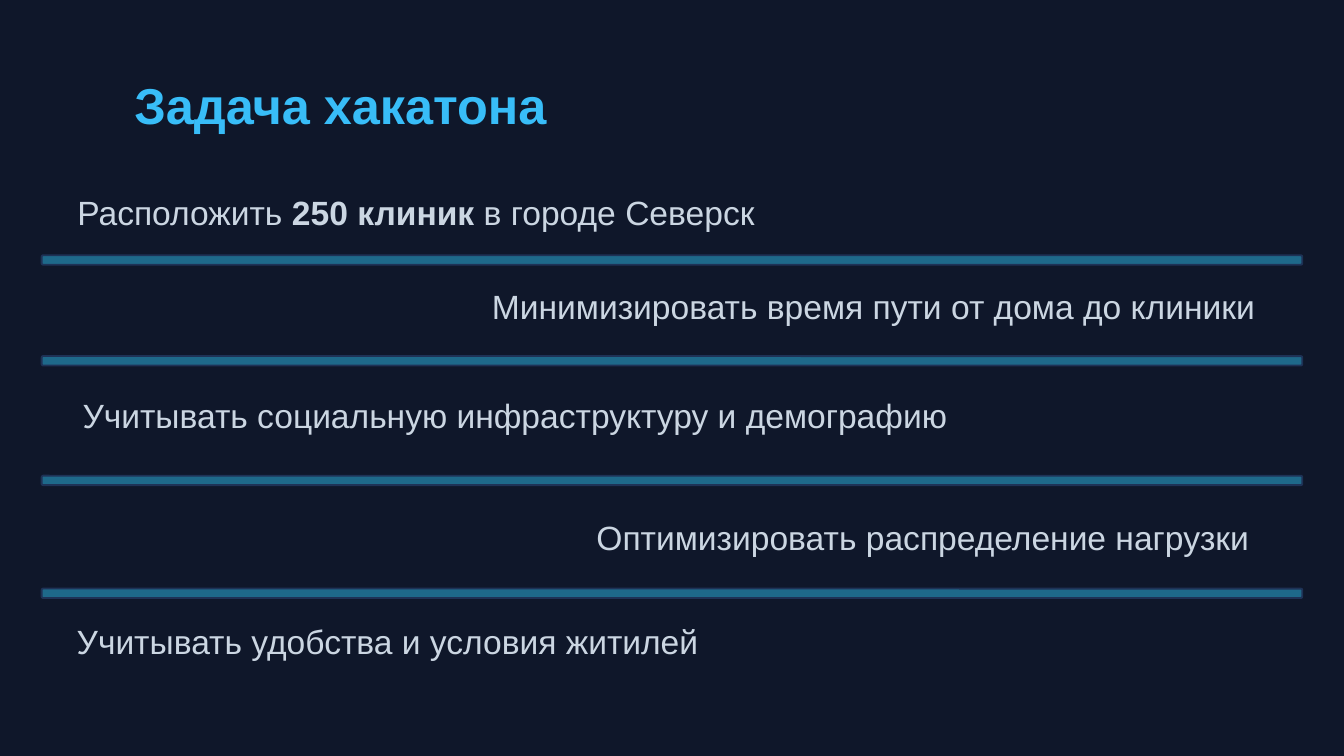
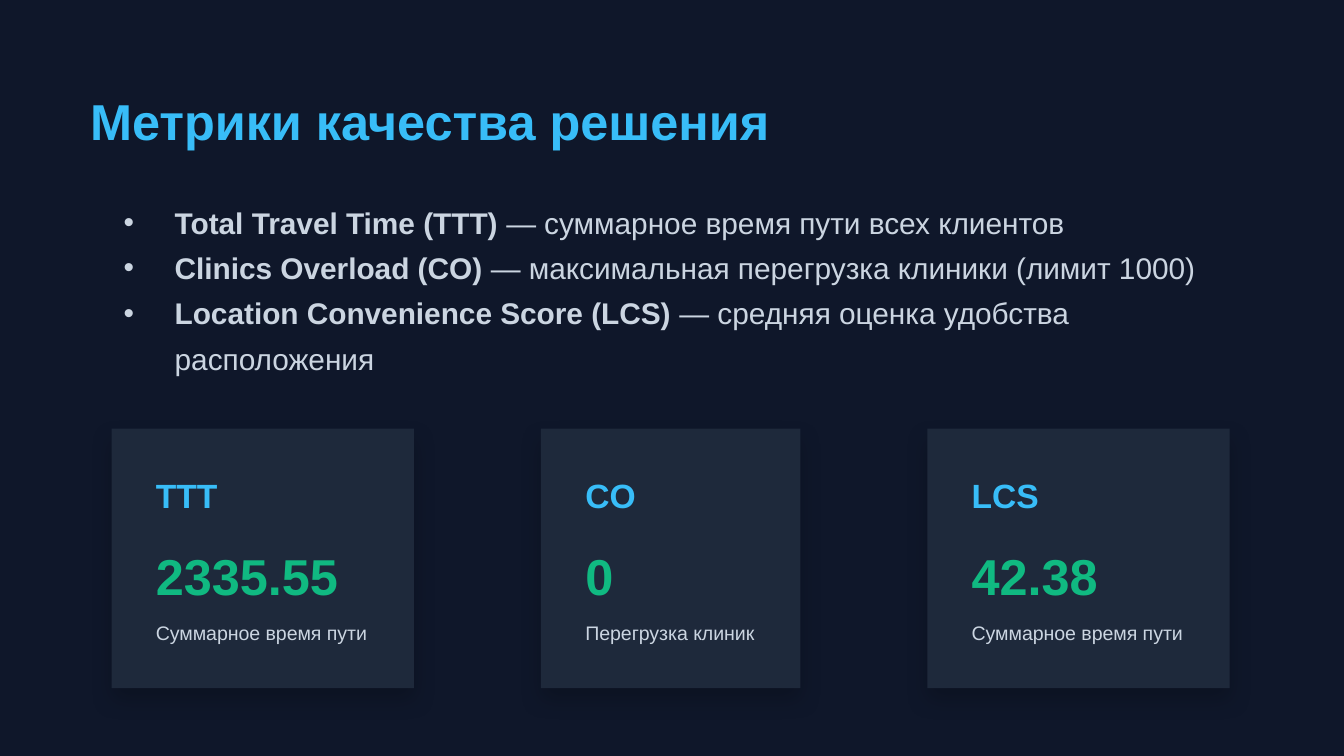
"""Builds two slides: the hackathon task and the quality metrics of the solution."""
from lxml.etree import SubElement
from pptx import Presentation
from pptx.dml.color import RGBColor
from pptx.enum.shapes import MSO_SHAPE as Shape
from pptx.enum.text import MSO_AUTO_SIZE as AutoSize, PP_ALIGN as Align
from pptx.oxml.ns import qn
from pptx.util import Inches, Pt

NAVY = RGBColor(0x0F, 0x17, 0x2A)
SKY = RGBColor(0x38, 0xBD, 0xF8)
GREEN = RGBColor(0x10, 0xB9, 0x81)
GOAL_TEXT = RGBColor(0xCB, 0xD6, 0xE2)
BODY_TEXT = RGBColor(0xCB, 0xD5, 0xE1)
CARD_FILL = RGBColor(0x1E, 0x29, 0x3B)
BAR_FILL = RGBColor(0x1E, 0x69, 0x8A)
BAR_LINE = RGBColor(0x1E, 0x32, 0x56)
FONT = "Arial"

TASK_TITLE = ("Задача хакатона", 1, 0.55)
GOALS = [
    ([("Минимизировать время пути от дома до клиники", False)], 3.51, 2.08, 5.93, Align.RIGHT),
    ([("Учитывать социальную инфраструктуру и демографию", False)], 0.45, 2.89, 6.7, Align.RIGHT),
    ([("Оптимизировать распределение нагрузки", False)], 4.34, 3.8, 5.1, Align.LEFT),
    ([("Расположить ", False), ("250 клиник ", True), ("в городе Северск", False)],
     0.45, 1.38, 5.29, Align.CENTER),
    ([("Учитывать удобства и условия житилей", False)], 0.45, 4.57, 4.87, Align.CENTER),
]
BAR_TOPS = [1.9, 2.65, 3.54, 4.38]

METRICS_TITLE = ("Метрики качества решения", 0.67, 0.67)
METRICS = [
    ("Total Travel Time (TTT)", " — суммарное время пути всех клиентов"),
    ("Clinics Overload (CO)", " — максимальная перегрузка клиники (лимит 1000)"),
    ("Location Convenience Score (LCS)", " — средняя оценка удобства расположения"),
]
CARDS = [
    (("TTT", "2335.55", "Суммарное время пути"), 2.25),
    (("CO", "0", "Перегрузка клиник"), 1.93),
    (("LCS", "42.38", "Суммарное время пути"), 2.25),
]
CARD_LINES = [
    (3.53, 0.29, 18, 21.6, SKY, True),
    (3.98, 0.52, 27, 37.8, GREEN, True),
    (4.59, 0.2, 10.5, 14.7, BODY_TEXT, False),
]
CARD_LEFT, CARD_RIGHT, CARD_TOP, CARD_HEIGHT = 0.83, 9.15, 3.19, 1.93
CARD_PAD = 0.33


def add_slide(deck, title):
    page = deck.slides.add_slide(deck.slide_layouts[6])
    page.background.fill.solid()
    page.background.fill.fore_color.rgb = NAVY
    text, left, top = title
    frame = add_box(page, left, top, 8.84, 0.45)
    write(frame.paragraphs[0], [(text, True)], 27, SKY, 32.4)
    return page


def add_box(page, left, top, width, height):
    box = page.shapes.add_textbox(Inches(left), Inches(top), Inches(width), Inches(height))
    frame = box.text_frame
    frame.word_wrap = True
    frame.margin_left = frame.margin_top = frame.margin_right = frame.margin_bottom = 0
    return frame


def write(para, spans, size, color, spacing=None):
    if spacing:
        para.line_spacing = Pt(spacing)
    for text, bold in spans:
        span = para.add_run()
        span.text = text
        span.font.name = FONT
        span.font.size = Pt(size)
        span.font.bold = bold
        span.font.color.rgb = color


def add_block(page, kind, left, top, width, height, color):
    block = page.shapes.add_shape(kind, Inches(left), Inches(top), Inches(width), Inches(height))
    block.shadow.inherit = False
    block.fill.solid()
    block.fill.fore_color.rgb = color
    block.line.fill.background()
    return block


def add_shadow(block):
    effects = block._element.spPr.find(qn("a:effectLst"))
    shadow = SubElement(effects, qn("a:outerShdw"), blurRad=str(Pt(12)), dist=str(Pt(6)),
                        dir="5400000", algn="t", rotWithShape="0")
    color = SubElement(shadow, qn("a:srgbClr"), val="000000")
    SubElement(color, qn("a:alpha"), val="20000")


def add_bullet(para):
    props = para._p.get_or_add_pPr()
    props.set("marL", str(Inches(0.38)))
    props.set("indent", str(-Inches(0.38)))
    SubElement(props, qn("a:buFont"), typeface=FONT)
    SubElement(props, qn("a:buChar"), char="•")


def build_task(deck):
    page = add_slide(deck, TASK_TITLE)
    for spans, left, top, width, align in GOALS:
        frame = add_box(page, left, top, width, 0.71)
        frame.margin_left = frame.margin_right = Inches(0.1)
        frame.margin_top = frame.margin_bottom = Inches(0.05)
        frame.word_wrap = False
        frame.auto_size = AutoSize.SHAPE_TO_FIT_TEXT
        frame.paragraphs[0].alignment = align
        write(frame.paragraphs[0], spans, 18, GOAL_TEXT)
    for top in BAR_TOPS:
        bar = add_block(page, Shape.ROUNDED_RECTANGLE, 0.31, top, 9.38, 0.07, BAR_FILL)
        bar.line.color.rgb = BAR_LINE
        bar.line.width = Pt(1)


def build_metrics(deck):
    page = add_slide(deck, METRICS_TITLE)
    frame = add_box(page, 0.92, 1.45, 8.33, 1.28)
    for index, (name, meaning) in enumerate(METRICS):
        para = frame.add_paragraph() if index else frame.paragraphs[0]
        write(para, [(name, True), (meaning, False)], 16, BODY_TEXT, 24.3)
        add_bullet(para)
    taken = sum(width for _, width in CARDS)
    gap = (CARD_RIGHT - CARD_LEFT - taken) / (len(CARDS) - 1)
    left = CARD_LEFT
    for texts, width in CARDS:
        card = add_block(page, Shape.RECTANGLE, left, CARD_TOP, width, CARD_HEIGHT, CARD_FILL)
        add_shadow(card)
        for text, (top, height, size, spacing, color, bold) in zip(texts, CARD_LINES):
            label = add_box(page, left + CARD_PAD, top, width - 0.64, height)
            write(label.paragraphs[0], [(text, bold)], size, color, spacing)
        left += width + gap


def main():
    deck = Presentation()
    deck.slide_width = Inches(10)
    deck.slide_height = deck.slide_width * 9 // 16
    build_task(deck)
    build_metrics(deck)
    deck.save("out.pptx")


if __name__ == "__main__":
    main()
